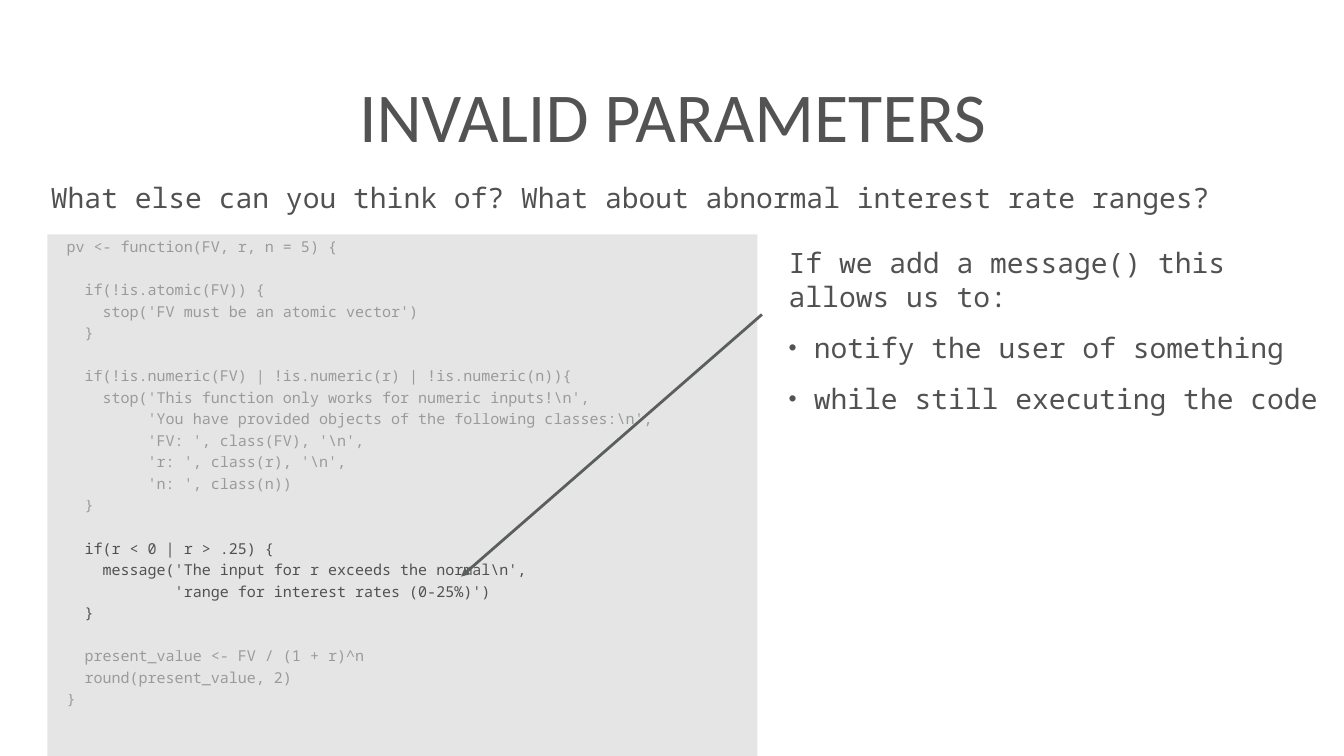
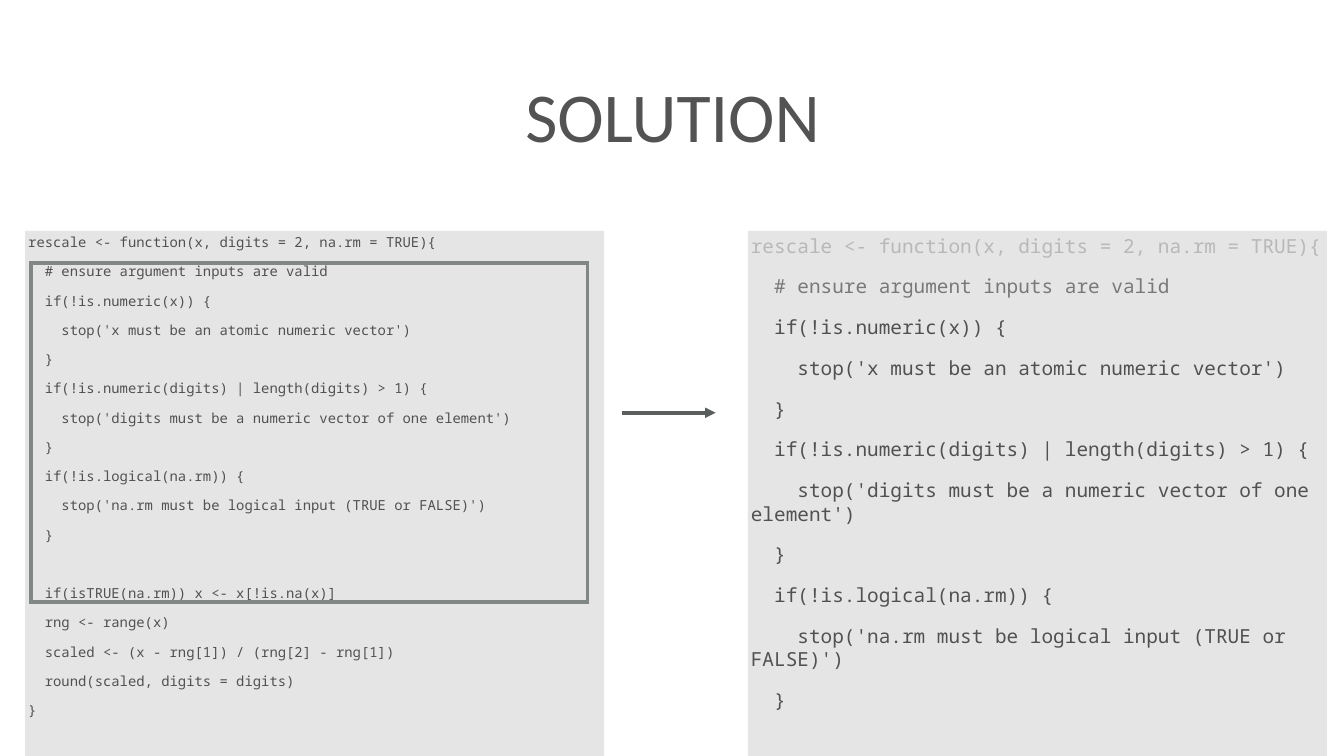
import pptx
import pptx.dml.color
import pptx.enum.shapes
import pptx.enum.text
import pptx.oxml.ns
import pptx.util
from lxml import etree

Inches = pptx.util.Inches
Pt = pptx.util.Pt
ALIGN = pptx.enum.text.PP_ALIGN
ANCHOR = pptx.enum.text.MSO_ANCHOR
RECTANGLE = pptx.enum.shapes.MSO_SHAPE.RECTANGLE

INK = "515151"
TITLE_INK = "535353"
COMMENT_INK = "797979"
PANEL = "E5E5E5"
ARROW = "5A5F5E"
FRAME = "808785"
SANS = "Calibri"
MONO = "Noto Sans Mono"

PRESENT_VALUE_CODE = r"""pv <- function(FV, r, n = 5) {
  
  if(!is.atomic(FV)) {
    stop('FV must be an atomic vector')
  }
  
  if(!is.numeric(FV) | !is.numeric(r) | !is.numeric(n)){
    stop('This function only works for numeric inputs!\n',
         'You have provided objects of the following classes:\n',
         'FV: ', class(FV), '\n',
         'r: ', class(r), '\n',
         'n: ', class(n))
  }
  
  if(r < 0 | r > .25) {
    message('The input for r exceeds the normal\n',
            'range for interest rates (0-25%)')
  }
  
  present_value <- FV / (1 + r)^n
  round(present_value, 2)
}""".split("\n")
RANGE_CHECK = range(13, 19)

VALIDATION_CODE = """rescale <- function(x, digits = 2, na.rm = TRUE){
  # ensure argument inputs are valid
  if(!is.numeric(x)) {
    stop('x must be an atomic numeric vector')
  }
  if(!is.numeric(digits) | length(digits) > 1) {
    stop('digits must be a numeric vector of one element')
  }
  if(!is.logical(na.rm)) {
    stop('na.rm must be logical input (TRUE or FALSE)')
  }""".split("\n")

RESCALING_CODE = """  
  if(isTRUE(na.rm)) x <- x[!is.na(x)]
  rng <- range(x)
  scaled <- (x - rng[1]) / (rng[2] - rng[1])
  round(scaled, digits = digits)
}""".split("\n")


def rgb(value):
    return pptx.dml.color.RGBColor.from_string(value)


def apply(target, formats):
    for name, value in formats.items():
        setattr(target, name, value)


def add_xml(parent, tag, **attributes):
    return etree.SubElement(parent, pptx.oxml.ns.qn(tag), attributes)


def prepare_frame(frame, anchor=ANCHOR.TOP):
    margins = ("margin_left", "margin_right", "margin_top", "margin_bottom")
    apply(frame, dict.fromkeys(margins, Inches(0.06)))
    apply(frame, {"word_wrap": True, "vertical_anchor": anchor})


def add_run(paragraph, text, font, size, colour, opacity=100):
    run = paragraph.add_run()
    run.text = text
    apply(run.font, {"name": font, "size": Pt(size)})
    run.font.color.rgb = rgb(colour)
    if opacity < 100:
        tint = run.font.fill._xPr.find(".//" + pptx.oxml.ns.qn("a:srgbClr"))
        add_xml(tint, "a:alpha", val=str(opacity * 1000))


def add_paragraph(frame, first, gap=0):
    paragraph = frame.paragraphs[0] if first else frame.add_paragraph()
    apply(paragraph, {
        "alignment": ALIGN.LEFT,
        "space_before": Pt(0 if first else gap),
    })
    return paragraph


def add_bullet(paragraph):
    properties = paragraph._p.get_or_add_pPr()
    apply_indent(properties, 0.5, -0.5)
    add_xml(add_xml(properties, "a:buClr"), "a:srgbClr", val=TITLE_INK)
    add_xml(properties, "a:buSzPct", val="82000")
    add_xml(properties, "a:buFont", typeface="Arial")
    add_xml(properties, "a:buChar", char="•")


def apply_indent(properties, left, first_line=0):
    properties.set("marL", str(Inches(left)))
    properties.set("indent", str(Inches(first_line)))


def add_text_box(slide, box, anchor=ANCHOR.TOP):
    frame = slide.shapes.add_textbox(*map(Inches, box)).text_frame
    prepare_frame(frame, anchor)
    return frame


def add_title(slide, text):
    frame = add_text_box(slide, (0.74, 0.39, 25.21, 3.75), ANCHOR.MIDDLE)
    paragraph = add_paragraph(frame, True)
    paragraph.alignment = ALIGN.CENTER
    add_run(paragraph, text, SANS, 100, TITLE_INK)


def add_prose(slide, box, lead, bullets=()):
    frame = add_text_box(slide, box)
    add_run(add_paragraph(frame, True), lead, MONO, 40, INK)
    for text in bullets:
        paragraph = add_paragraph(frame, False, 25)
        add_bullet(paragraph)
        add_run(paragraph, text, MONO, 40, INK)


def add_rectangle(slide, box):
    rectangle = slide.shapes.add_shape(RECTANGLE, *map(Inches, box))
    rectangle.shadow.inherit = False
    return rectangle


def add_code(slide, box, lines, size, gap, indent=0, shades=None):
    panel = add_rectangle(slide, box)
    panel.fill.solid()
    panel.fill.fore_color.rgb = rgb(PANEL)
    panel.line.fill.background()
    prepare_frame(panel.text_frame)
    for number, line in enumerate(lines):
        paragraph = add_paragraph(panel.text_frame, number == 0, gap)
        apply_indent(paragraph._p.get_or_add_pPr(), indent)
        shade = (shades or {}).get(number, (INK,))
        add_run(paragraph, line, MONO, size, *shade)


def add_frame(slide, box):
    frame = add_rectangle(slide, box)
    frame.fill.background()
    frame.line.color.rgb = rgb(FRAME)
    frame.line.width = Pt(5)
    add_xml(frame.line._get_or_add_ln(), "a:miter", lim="400000")


def add_arrow(slide, start, end, width):
    arrow = slide.shapes.add_connector(
        pptx.enum.shapes.MSO_CONNECTOR.STRAIGHT, *map(Inches, start + end))
    arrow.line.color.rgb = rgb(ARROW)
    arrow.line.width = Pt(width)
    add_xml(arrow.line._get_or_add_ln(), "a:tailEnd", type="triangle")
    add_xml(arrow._element.spPr, "a:effectLst")


def build_invalid_parameters(slide):
    add_title(slide, "INVALID PARAMETERS")
    faded = {number: (INK, 50) for number in range(len(PRESENT_VALUE_CODE))
             if number not in RANGE_CHECK}
    add_code(slide, (0.94, 4.65, 14.09, 10.43), PRESENT_VALUE_CODE,
             21.5, 5, indent=0.32, shades=faded)
    add_prose(slide, (0.95, 3.52, 25.38, 1.32),
              "What else can you think of? What about abnormal interest rate ranges?")
    add_prose(slide, (15.59, 4.82, 10.74, 10.11),
              "If we add a message() this allows us to:",
              ["notify the user of something", "while still executing the code"])
    add_arrow(slide, (15.12, 6.24), (9.15, 11.44), 4)


def build_solution(slide):
    add_title(slide, "SOLUTION")
    add_code(slide, (0.5, 4.58, 11.49, 10.5),
             VALIDATION_CODE + RESCALING_CODE, 19.8, 18)
    add_code(slide, (14.84, 4.58, 11.49, 10.5), VALIDATION_CODE, 27.7, 25,
             shades={0: (INK, 30), 1: (COMMENT_INK,)})
    add_frame(slide, (0.62, 5.22, 11.04, 6.73))
    add_arrow(slide, (12.34, 8.19), (14.2, 8.19), 5)


def main():
    deck = pptx.Presentation()
    apply(deck, {"slide_width": Inches(26.67), "slide_height": Inches(15)})
    for build in (build_invalid_parameters, build_solution):
        build(deck.slides.add_slide(deck.slide_layouts[6]))
    deck.save("out.pptx")


if __name__ == "__main__":
    main()
